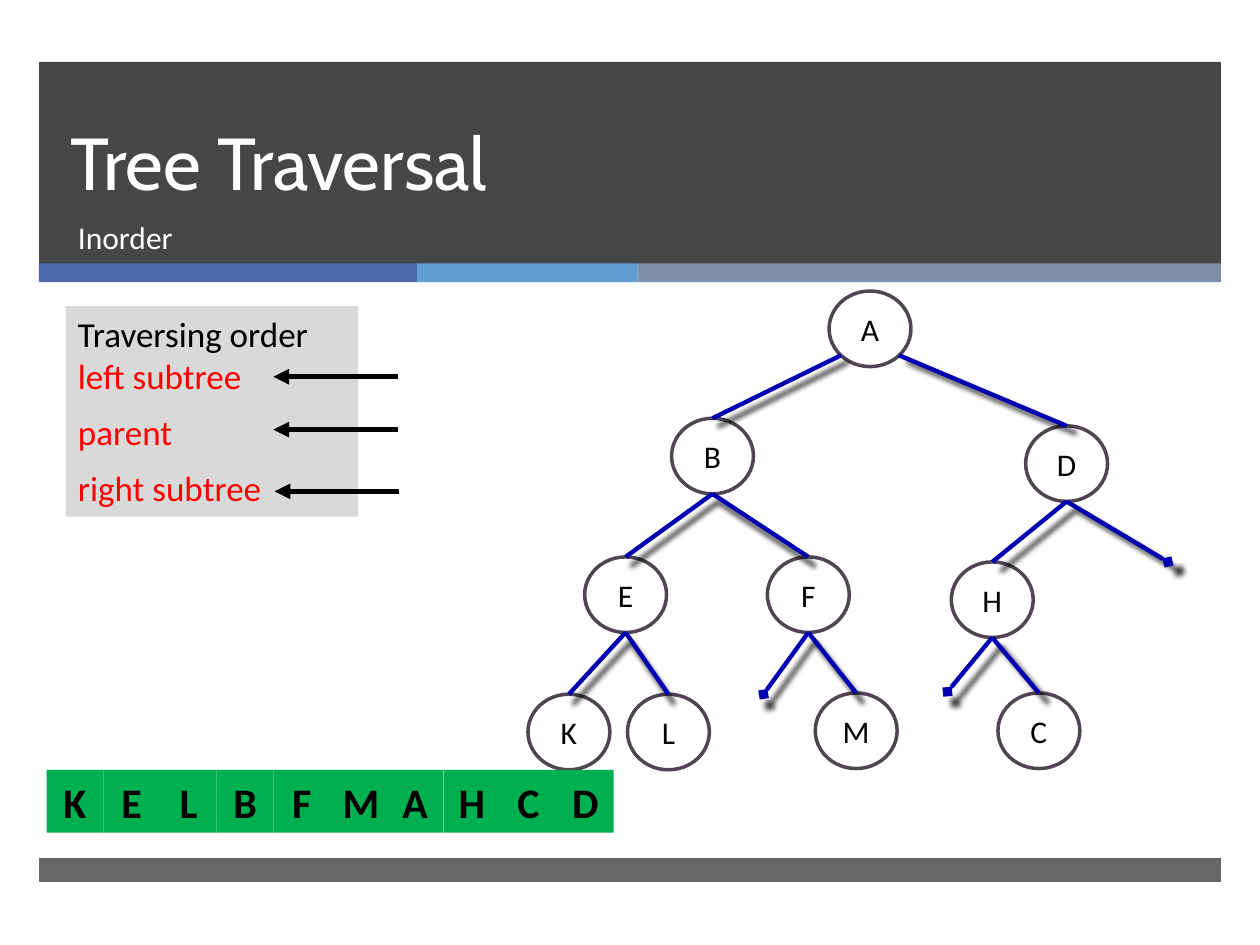
from dataclasses import dataclass
from typing import NamedTuple

from lxml import etree
from pptx import Presentation
from pptx.dml.color import RGBColor
from pptx.enum.shapes import MSO_CONNECTOR, MSO_SHAPE
from pptx.enum.text import MSO_ANCHOR, MSO_AUTO_SIZE, PP_ALIGN
from pptx.oxml.ns import qn
from pptx.util import Inches, Pt

RECT, OVAL = MSO_SHAPE.RECTANGLE, MSO_SHAPE.OVAL
LINE = MSO_CONNECTOR.STRAIGHT
LEFT, MID, FULL = PP_ALIGN.LEFT, PP_ALIGN.CENTER, PP_ALIGN.JUSTIFY
TOP, CORE, BASE = MSO_ANCHOR.TOP, MSO_ANCHOR.MIDDLE, MSO_ANCHOR.BOTTOM

# The grid has 100 columns and 75 rows
WIDE, HIGH = Inches(10), Inches(7.5)
COLS, ROWS = 100, 75


@dataclass(frozen=True)
class Theme:
    head: str = "Cabin"
    body: str = "Calibri"
    dark: str = "262626"
    white: str = "FFFFFF"
    black: str = "000000"
    red: str = "FF0000"
    gray: str = "D9D9D9"
    green: str = "00B050"
    ring: str = "504652"
    edge: str = "0000B0"
    bars: tuple = ("4A66AC", "629DD1", "7F8FA9")
    big: int = 42
    cell: int = 24
    list: int = 20
    text: int = 18


class Box(NamedTuple):
    x: float
    y: float
    w: float
    h: float


class Spot(NamedTuple):
    x: float
    y: float


@dataclass(frozen=True)
class Node:
    x: float
    y: float
    kids: tuple = ()  # names of nodes, or spots for empty ends


T = Theme()
NODE_W, NODE_H = 6.5, 6
TREE = {
    "A": Node(65.8, 23.1, ("B", "D")),
    "B": Node(53.3, 33.2, ("E", "F")),
    "D": Node(81.4, 33.8, ("H", Spot(92.7, 44.6))),
    "E": Node(46.4, 44.2, ("K", "L")),
    "F": Node(60.9, 44.2, (Spot(60.6, 55.1), "M")),
    "H": Node(75.5, 44.6, (Spot(75.2, 54.9), "C")),
    "K": Node(41.9, 55.1),
    "L": Node(49.8, 55.1),
    "M": Node(64.7, 55),
    "C": Node(79.2, 55),
}


def col(x: float) -> int:
    return round(WIDE * x / COLS)


def row(y: float) -> int:
    return round(HIGH * y / ROWS)


def place(box: Box) -> tuple:
    return col(box.x), row(box.y), col(box.w), row(box.h)


def style(item, form: dict) -> None:
    for key, val in form.items():
        setattr(item, key, val)


def ink(font, size: float, tone: str, face: str = T.body, bold: bool = False) -> None:
    style(font, {"size": Pt(size), "name": face, "bold": bold})
    font.color.rgb = RGBColor.from_string(tone)


def shape(page, kind, box: Box, fill: str = "", line: str = "", alpha: int = 100):
    item = page.shapes.add_shape(kind, *place(box))
    item.shadow.inherit = False
    if fill:
        item.fill.solid()
        item.fill.fore_color.rgb = RGBColor.from_string(fill)
        if alpha < 100:
            tone = item._element.spPr.find(".//" + qn("a:srgbClr"))
            etree.SubElement(tone, qn("a:alpha"), val=str(alpha * 1000))
    else:
        item.fill.background()
    if line:
        item.line.color.rgb = RGBColor.from_string(line)
        item.line.width = Pt(2)
    else:
        item.line.fill.background()
    return item


def label(item, text: str, size: float, anchor, bold: bool = False) -> None:
    frame = item.text_frame
    style(frame, {"word_wrap": True, "vertical_anchor": anchor, "text": text})
    line = frame.paragraphs[0]
    line.alignment = MID
    ink(line.runs[0].font, size, T.black, bold=bold)


def link(page, start: Spot, end: Spot, tone: str, width: float,
         tip: str = "", shade: bool = False) -> None:
    wire = page.shapes.add_connector(
        LINE, col(start.x), row(start.y), col(end.x), row(end.y))
    wire.line.color.rgb = RGBColor.from_string(tone)
    wire.line.width = Pt(width)
    if tip:
        etree.SubElement(wire.line._get_or_add_ln(), qn("a:tailEnd"), type=tip)
    fx = etree.SubElement(wire._element.spPr, qn("a:effectLst"))
    if shade:
        cast = etree.SubElement(
            fx, qn("a:outerShdw"), blurRad=str(Pt(3)), dist=str(Pt(2)),
            dir=str(110 * 60000), sx="101000", sy="101000", rotWithShape="0")
        dye = etree.SubElement(cast, qn("a:srgbClr"), val=T.black)
        etree.SubElement(dye, qn("a:alpha"), val="75000")


def frame_page(page) -> None:
    # Header, colour strip and footer
    shape(page, RECT, Box(3.1, 4.9, 93.8, 16.1), T.dark, alpha=85)
    left = 3.1
    for tone, width in zip(T.bars, (30, 17.5, 46.3)):
        shape(page, RECT, Box(left, 20.9, width, 1.5), tone)
        left += width
    shape(page, RECT, Box(3.1, 68.1, 93.8, 1.9), T.dark, alpha=70)

    # Title, brought in front of the header
    title = page.shapes.title
    page.shapes._spTree.append(title._element)
    spot = dict(zip(("left", "top", "width", "height"),
                    place(Box(4.6, 4.9, 85.4, 11.9))))
    style(title, spot)
    style(title.text_frame, {"text": "Tree Traversal", "vertical_anchor": BASE,
                             "auto_size": MSO_AUTO_SIZE.NONE})
    line = title.text_frame.paragraphs[0]
    style(line, {"alignment": LEFT, "line_spacing": Pt(46)})
    ink(line.runs[0].font, T.big, T.white, T.head)

    # Subtitle
    sub = page.shapes.add_textbox(*place(Box(5.2, 16.8, 84.8, 5.3))).text_frame
    style(sub, {"word_wrap": True, "text": "Inorder"})
    ink(sub.paragraphs[0].runs[0].font, T.text, T.white)


def draw_order(page) -> None:
    frame = shape(page, RECT, Box(5.2, 24.3, 23.2, 16.7), T.gray).text_frame
    style(frame, {"word_wrap": True, "vertical_anchor": TOP})
    first = frame.paragraphs[0]
    style(first, {"alignment": LEFT, "space_after": Pt(4)})
    head = first.add_run()
    head.text = "Traversing order"
    ink(head.font, T.list, T.black)
    first.add_line_break()
    for step in ("left subtree", "parent", "right subtree"):
        line = first
        if step != "left subtree":
            line = frame.add_paragraph()
            style(line, {"alignment": FULL, "space_before": Pt(4),
                         "space_after": Pt(4)})
        run = line.add_run()
        run.text = step
        ink(run.font, T.list, T.red)


def draw_tree(page) -> None:
    for name, node in TREE.items():
        ring = shape(page, OVAL, Box(node.x, node.y, NODE_W, NODE_H), line=T.ring)
        label(ring, name, T.text, CORE)
    for name, node in TREE.items():
        for side, kid in zip((-1, 1), node.kids):
            # The root's edges leave from its lower corners
            root = name == "A"
            start = Spot(node.x + NODE_W / 2 + (side * 2.3 if root else 0),
                         node.y + (5.1 if root else NODE_H))
            bare = isinstance(kid, Spot)
            end = kid if bare else Spot(TREE[kid].x + NODE_W / 2, TREE[kid].y)
            link(page, start, end, T.edge, 2.5, "diamond" if bare else "", True)


def draw_result(page) -> None:
    for i, name in enumerate("KELBFMAHCD"):
        cell = shape(page, RECT, Box(3.7 + 4.5 * i, 61.1, 4.5, 5), T.green)
        label(cell, name, T.cell, TOP, True)


def main() -> None:
    deck = Presentation()
    style(deck, {"slide_width": WIDE, "slide_height": HIGH})
    page = deck.slides.add_slide(deck.slide_layouts[5])
    frame_page(page)
    draw_order(page)
    draw_tree(page)
    draw_result(page)
    # Arrows to the three steps
    for x, y in ((21.7, 29.9), (21.7, 34.1), (21.8, 39)):
        link(page, Spot(x + 9.9, y), Spot(x, y), T.black, 3, "triangle")
    deck.save("out.pptx")


if __name__ == "__main__":
    main()
